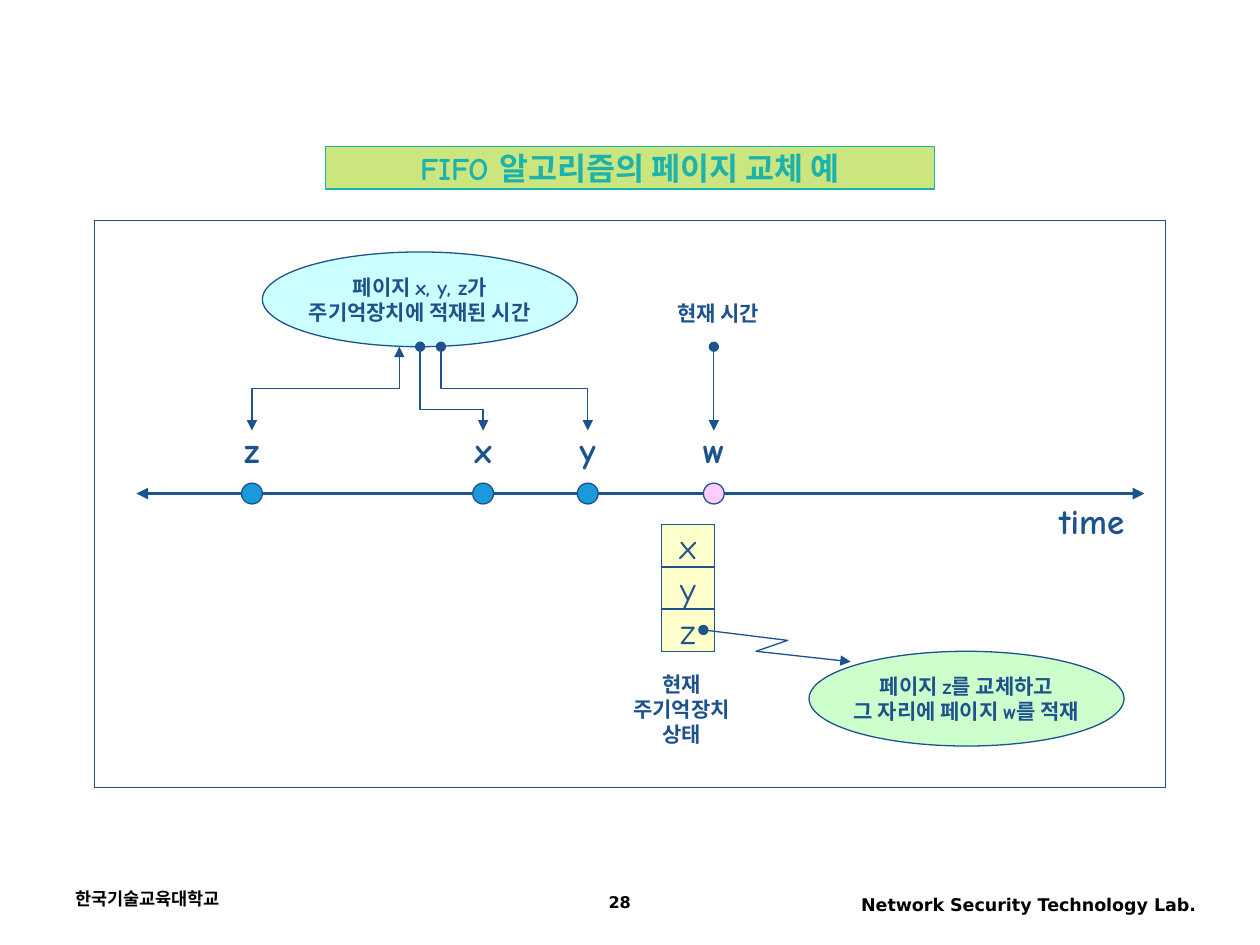
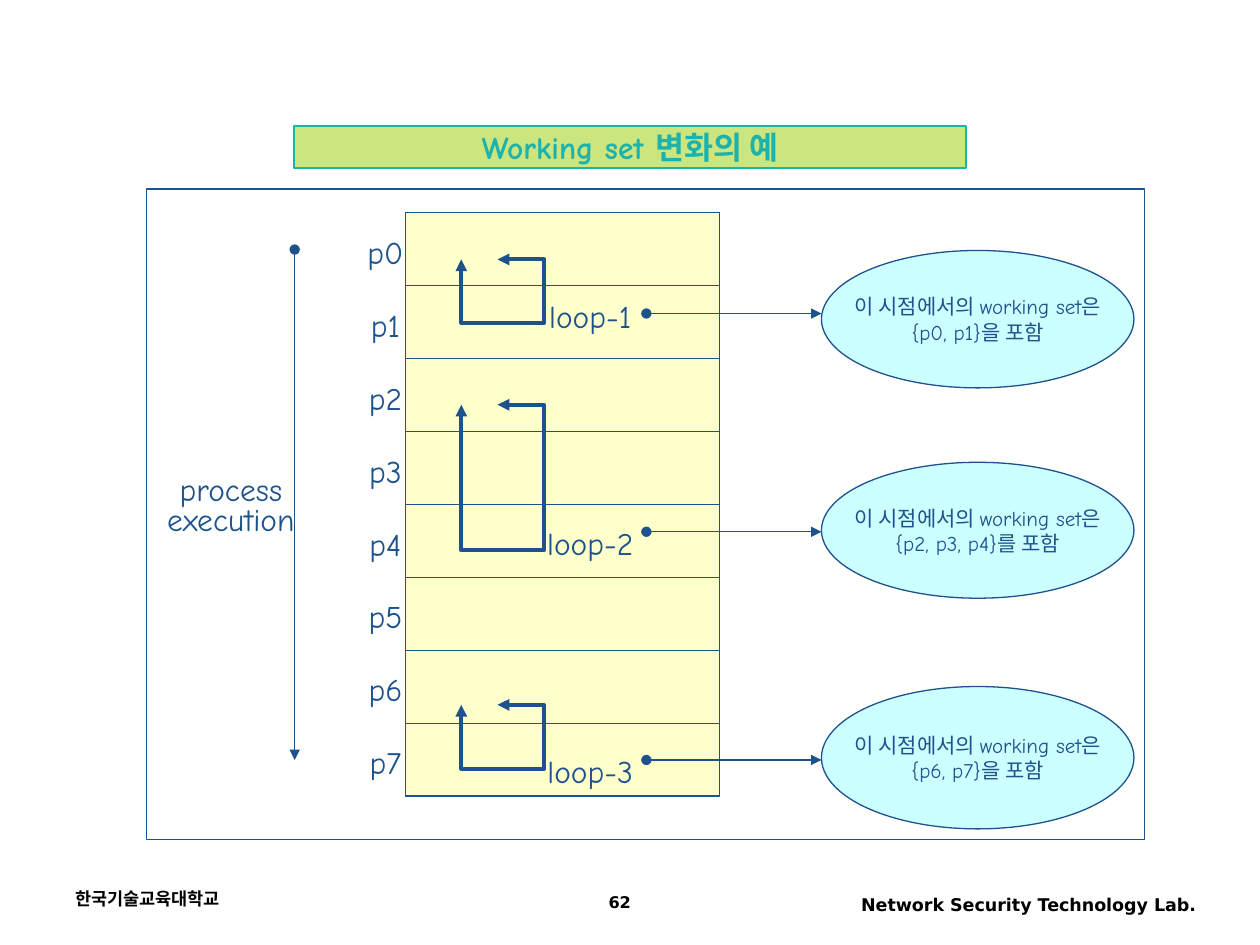
from lxml import etree
from pptx import Presentation
from pptx.dml.color import RGBColor
from pptx.enum.shapes import MSO_CONNECTOR, MSO_SHAPE
from pptx.enum.text import MSO_ANCHOR, MSO_AUTO_SIZE, PP_ALIGN
from pptx.oxml.ns import qn
from pptx.util import Cm, Pt

RECTANGLE, ELLIPSE = MSO_SHAPE.RECTANGLE, MSO_SHAPE.OVAL
STRAIGHT = MSO_CONNECTOR.STRAIGHT
TOP, MIDDLE = MSO_ANCHOR.TOP, MSO_ANCHOR.MIDDLE
LEFT, CENTER, RIGHT = PP_ALIGN.LEFT, PP_ALIGN.CENTER, PP_ALIGN.RIGHT
FIXED_SIZE = MSO_AUTO_SIZE.NONE

COLORS = {
    "white": "FFFFFF",
    "black": "000000",
    "navy": "1D528D",
    "teal": "1DB3AC",
    "lime": "99CC00",
    "blue": "1B9AD9",
    "pink": "FFCCFF",
    "yellow": "FFFFCC",
    "cyan": "CCFFFF",
    "green": "CCFFCC",
}
BODY_FONT, FOOTER_FONT = "Comic Neue", "DejaVu Sans"
FORMATS = {
    "title": {"name": BODY_FONT, "size": Pt(18), "bold": True},
    "large": {"name": BODY_FONT, "size": Pt(20), "bold": False},
    "large bold": {"name": BODY_FONT, "size": Pt(20), "bold": True},
    "medium": {"name": BODY_FONT, "size": Pt(18), "bold": False},
    "small": {"name": BODY_FONT, "size": Pt(12), "bold": False},
    "small bold": {"name": BODY_FONT, "size": Pt(12), "bold": True},
    "footer": {"name": FOOTER_FONT, "size": Pt(10), "bold": True},
    "number": {"name": FOOTER_FONT, "size": Pt(9.2), "bold": True},
}
SLIDE_WIDTH, SLIDE_HEIGHT = 25.4, 19.05
THIN, THICK = 0.75, 2.25


def color(name):
    return RGBColor.from_string(COLORS[name])


def write(shape, lines, style, color_name="navy", align=CENTER, anchor=MIDDLE,
          wrap=False):
    frame = shape.text_frame
    frame.auto_size = FIXED_SIZE
    frame.word_wrap = wrap
    frame.vertical_anchor = anchor
    frame.text = "\n".join(lines)
    for paragraph in frame.paragraphs:
        paragraph.alignment = align
        for attribute, value in FORMATS[style].items():
            setattr(paragraph.font, attribute, value)
        paragraph.font.color.rgb = color(color_name)


def outline(shape, color_name="navy", width=THIN):
    shape.line.color.rgb = color(color_name)
    shape.line.width = Pt(width)


def add_arrowheads(shape, head, tail):
    line = shape.line._get_or_add_ln()
    for tag, kind in (("a:headEnd", head), ("a:tailEnd", tail)):
        etree.SubElement(line, qn(tag), type=kind)


def add_text(slide, box, lines, style, **options):
    text_box = slide.shapes.add_textbox(*map(Cm, box))
    write(text_box, lines, style, **{"anchor": TOP, **options})
    return text_box


def add_label(slide, center, top, text, style):
    width, height = 1.2, 1.1
    add_text(slide, (center - width / 2, top, width, height), [text], style)


def add_box(slide, kind, box, fill, lines=(), style="small"):
    shape = slide.shapes.add_shape(kind, *map(Cm, box))
    shape.shadow.inherit = False
    shape.fill.solid()
    shape.fill.fore_color.rgb = color(fill)
    outline(shape)
    if lines:
        write(shape, lines, style)
    return shape


def add_arrow(slide, start, end, head="oval", width=THIN):
    connector = slide.shapes.add_connector(STRAIGHT, *map(Cm, start + end))
    outline(connector, width=width)
    add_arrowheads(connector, head, "triangle")
    etree.SubElement(connector._element.spPr, qn("a:effectLst"))


def add_path(slide, points, head="oval", width=THIN):
    first, *others = [(Cm(x), Cm(y)) for x, y in points]
    builder = slide.shapes.build_freeform(*first)
    builder.add_line_segments(others, close=False)
    path = builder.convert_to_shape()
    path.shadow.inherit = False
    path.fill.background()
    outline(path, width=width)
    add_arrowheads(path, head, "triangle")


def set_title(slide, text, top, width):
    title = slide.shapes.title
    box = ((SLIDE_WIDTH - width) / 2, top, width, 0.85)
    for attribute, value in zip(("left", "top", "width", "height"), box):
        setattr(title, attribute, Cm(value))
    geometry = etree.SubElement(title._element.spPr, qn("a:prstGeom"),
                                prst="flowChartAlternateProcess")
    etree.SubElement(geometry, qn("a:avLst"))
    title.fill.solid()
    title.fill.fore_color.rgb = color("lime")
    fill_color = title._element.spPr.find(".//" + qn("a:srgbClr"))
    etree.SubElement(fill_color, qn("a:alpha"), val="50000")
    outline(title, "teal")
    write(title, [text], "title", "teal")


def add_footer(slide, number):
    footer = {"color_name": "black", "wrap": True}
    add_text(slide, (1.27, 17.78, 5.93, 0.85), ["한국기술교육대학교"], "footer",
             align=LEFT, **footer)
    add_text(slide, (16.3, 17.9, 8.06, 0.81), ["Network Security Technology Lab."],
             "footer", align=RIGHT, **footer)
    page = add_text(slide, (9.53, 17.9, 5.93, 0.71), [str(number)], "number", **footer)
    page.text_frame.paragraphs[0].line_spacing = 0.9


def add_slide(presentation, title, title_top, title_width, number, panel):
    slide = presentation.slides.add_slide(presentation.slide_layouts[5])
    set_title(slide, title, title_top, title_width)
    add_footer(slide, number)
    add_box(slide, RECTANGLE, panel, "white")
    return slide


def build_fifo_slide(presentation):
    slide = add_slide(presentation, "FIFO 알고리즘의 페이지 교체 예", 2.96, 12.28, 28,
                      (1.91, 4.45, 21.59, 11.43))
    timeline, dot = 9.95, 0.42
    add_arrow(slide, (2.75, timeline), (23.07, timeline), "triangle", THICK)
    events = {"z": (5.08, "blue"), "x": (9.74, "blue"),
              "y": (11.85, "blue"), "w": (14.39, "pink")}
    for page, (center, fill) in events.items():
        add_box(slide, ELLIPSE, (center - dot / 2, timeline - dot / 2, dot, dot), fill)
        add_label(slide, center, 8.51, page, "large bold")
    add_text(slide, (21.11, timeline, 1.8, 1.12), ["time"], "large bold")

    frame_height = 0.85
    for row, page in enumerate("xyz"):
        box = (13.34, 10.58 + row * frame_height, 1.06, frame_height)
        add_box(slide, RECTANGLE, box, "yellow", [page], "large")
    add_text(slide, (12.52, 13.41, 2.44, 1.78), ["현재", "주기억장치", "상태"],
             "small bold")
    add_text(slide, (13.39, 5.94, 2.18, 0.76), ["현재 시간"], "small bold")

    add_box(slide, ELLIPSE, (5.29, 5.08, 6.35, 1.91), "cyan",
            ["페이지 x, y, z가", "주기억장치에 적재된 시간"], "small bold")
    load_top, load_bottom = 6.99, 8.68
    for page, start, bend, head in (("z", 8.05, 7.83, "triangle"),
                                    ("y", 8.89, 7.83, "oval"),
                                    ("x", 8.47, 8.26, "oval")):
        end = events[page][0]
        add_path(slide, [(start, load_top), (start, bend), (end, bend),
                         (end, load_bottom)], head)
    now = events["w"][0]
    add_arrow(slide, (now, load_top), (now, load_bottom))

    add_box(slide, ELLIPSE, (16.31, 13.13, 6.35, 1.91), "green",
            ["페이지 z를 교체하고", "그 자리에 페이지 w를 적재"], "small bold")
    add_path(slide, [(14.18, 12.7), (15.88, 12.91), (15.24, 13.13), (17.15, 13.34)])


def build_working_set_slide(presentation):
    slide = add_slide(presentation, "Working set 변화의 예", 2.54, 13.55, 62,
                      (2.96, 3.81, 20.11, 13.12))
    page_height = 1.47
    for row in range(8):
        top = 4.29 + row * page_height
        add_box(slide, RECTANGLE, (8.18, top, 6.32, page_height), "yellow")
        add_label(slide, 7.77, top + 0.28, f"p{row}", "medium")

    add_arrow(slide, (5.94, 5.03), (5.94, 15.32))
    process = add_text(slide, (3.12, 9.35, 3.07, 1.63), ["process", "execution"],
                       "medium")
    process.text_frame.paragraphs[1].line_spacing = 0.8

    loops = [
        (5.23, 6.51, 5.87, 6.32, 5.05, 2.77, "{p0, p1}을 포함"),
        (8.16, 11.09, 10.44, 10.72, 9.32, 2.74, "{p2, p3, p4}를 포함"),
        (14.21, 15.5, 15.04, 15.32, 13.84, 2.87, "{p6, p7}을 포함"),
    ]
    left, tip, right = 9.3, 10.03, 10.97
    note_left = 16.56
    for number, loop in enumerate(loops, 1):
        top, bottom, label_top, arrow_y, note_top, note_height, pages = loop
        add_path(slide, [(left, top), (left, bottom), (right, bottom), (right, top),
                         (tip, top)], "triangle", THICK)
        add_label(slide, 11.9, label_top, f"loop-{number}", "medium")
        add_arrow(slide, (13.03, arrow_y), (note_left, arrow_y))
        add_box(slide, ELLIPSE, (note_left, note_top, 6.3, note_height), "cyan",
                ["이 시점에서의 working set은", pages])


def main():
    presentation = Presentation()
    presentation.slide_width = Cm(SLIDE_WIDTH)
    presentation.slide_height = Cm(SLIDE_HEIGHT)
    build_fifo_slide(presentation)
    build_working_set_slide(presentation)
    presentation.save("out.pptx")


if __name__ == "__main__":
    main()
